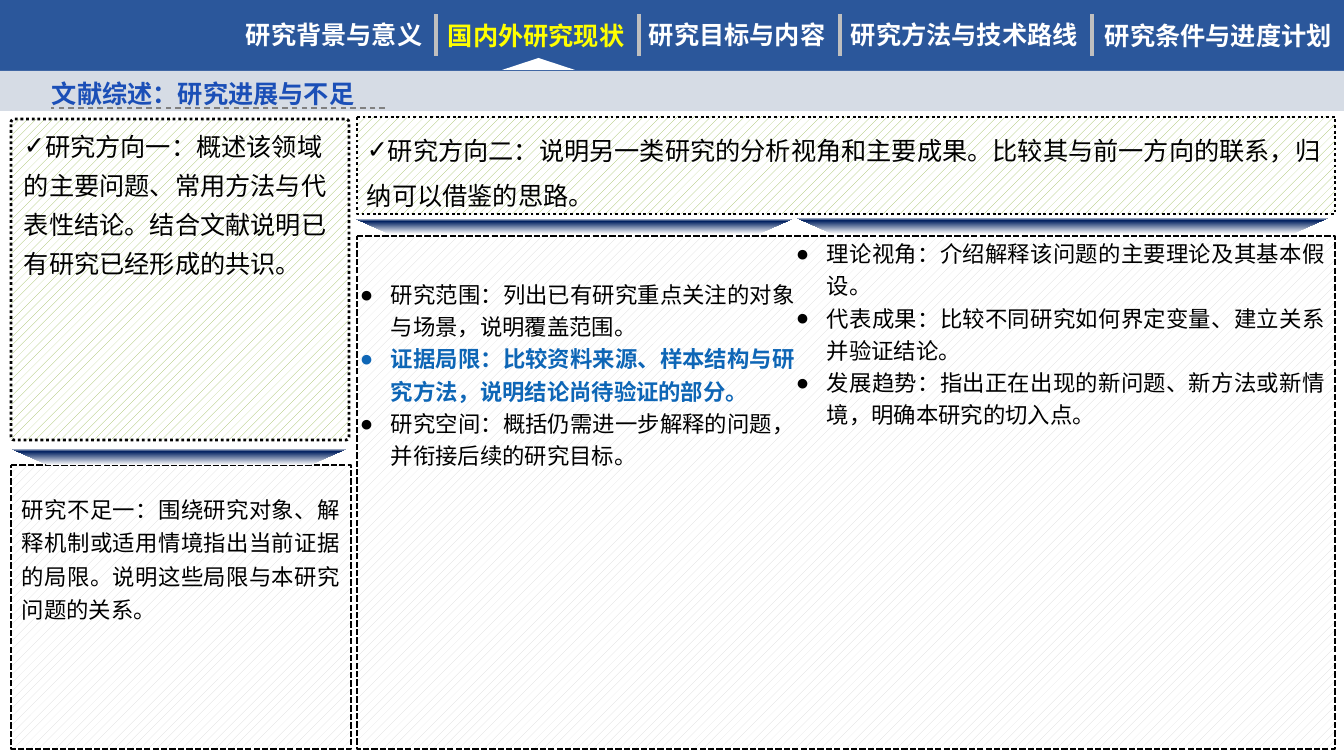
from lxml import etree
from pptx import Presentation
from pptx import util as u
from pptx.dml.color import RGBColor
from pptx.enum import dml, shapes, text
from pptx.oxml import ns

PX = 914400 / 100.8
FONT = "Noto Sans CJK SC"
HUES = {
    "bar": "2B579B", "band": "D6DCE5", "rule": "BFBFBF", "white": "FFFFFF",
    "black": "000000", "active": "FFFF00", "title": "1B4FB7", "dash": "808080",
    "grey": "D9D9D9", "green": "9BBB59", "navy": "002060", "key": "0E66B6",
}
KIND = shapes.MSO_SHAPE
TABS = [
    ("研究背景与意义", 236, 14, 201, "white"),
    ("国内外研究现状", 438, 15, 200, "active"),
    ("研究目标与内容", 639, 14, 201, "white"),
    ("研究方法与技术路线", 841, 14, 250, "white"),
    ("研究条件与进度计划", 1095, 15, 249, "white"),
]
SCOPE = [
    ("研究范围：列出已有研究重点关注的对象与场景，说明覆盖范围。", "black"),
    ("证据局限：比较资料来源、样本结构与研究方法，说明结论尚待验证的部分。", "key"),
    ("研究空间：概括仍需进一步解释的问题，并衔接后续的研究目标。", "black"),
]
TRENDS = [
    ("理论视角：介绍解释该问题的主要理论及其基本假设。", "black"),
    ("代表成果：比较不同研究如何界定变量、建立关系并验证结论。", "black"),
    ("发展趋势：指出正在出现的新问题、新方法或新情境，明确本研究的切入点。", "black"),
]
FIRST = "研究方向一：概述该领域的主要问题、常用方法与代表性结论。结合文献说明已有研究已经形成的共识。"
SECOND = "研究方向二：说明另一类研究的分析视角和主要成果。比较其与前一方向的联系，归纳可以借鉴的思路。"
GAP = "研究不足一：围绕研究对象、解释机制或适用情境指出当前证据的局限。说明这些局限与本研究问题的关系。"


def px(*nums):
    """Turn px lengths into EMU."""
    return [u.Emu(round(n * PX)) for n in nums]


def hue(name):
    """Look up a colour by name."""
    return RGBColor.from_string(HUES[name])


def sub(node, tag, **attrs):
    """Append a DrawingML child element."""
    return etree.SubElement(node, ns.qn("a:" + tag), attrs)


def block(slide, kind, area, fill=None, adj=None):
    """Add a preset shape with no outline."""
    shape = slide.shapes.add_shape(kind, *px(*area))
    shape.shadow.inherit = False
    shape.line.fill.background()
    if fill:
        shape.fill.solid()
        shape.fill.fore_color.rgb = hue(fill)
    if adj is not None:
        shape.adjustments[0] = adj
    return shape


def panel(slide, area, tint, width, dash, adj=0):
    """Add a hatched panel with a dashed outline."""
    shape = block(slide, KIND.ROUNDED_RECTANGLE, area, adj=adj)
    shape.fill.patterned()
    shape.fill.pattern = dml.MSO_PATTERN.PERCENT_20
    shape.fill.fore_color.rgb = hue(tint)
    shape.fill.back_color.rgb = hue("white")
    shape.line.color.rgb = hue("black")
    shape.line.width = u.Pt(width)
    shape.line.dash_style = dash


def wedge(slide, area):
    """Add a downward trapezoid that fades to white."""
    shape = block(slide, KIND.TRAPEZOID, area, adj=2.24)
    shape.rotation = 180
    shape.fill.gradient()
    shape.fill.gradient_angle = 270
    stops = shape.element.spPr.find(".//" + ns.qn("a:gsLst"))
    for stop in list(stops):
        stops.remove(stop)
    for pos, name in ((0, "white"), (79, "navy"), (100, "white")):
        sub(sub(stops, "gs", pos=str(pos * 1000)), "srgbClr", val=HUES[name])


def rule(slide, ends, name, width, dash=None):
    """Add a straight line."""
    line = slide.shapes.add_connector(shapes.MSO_CONNECTOR.STRAIGHT, *px(*ends))
    line.line.color.rgb = hue(name)
    line.line.width = u.Pt(width)
    if dash:
        line.line.dash_style = dash
    sub(line.element.spPr, "effectLst")


def write(slide, area, items, size, pitch, mark=None, hang=0, just=False, bold=False):
    """Add a text box with one paragraph per item."""
    box = slide.shapes.add_textbox(*px(*area))
    frame = box.text_frame
    frame.word_wrap = True
    for i, (words, name) in enumerate(items):
        para = frame.add_paragraph() if i else frame.paragraphs[0]
        para.line_spacing = u.Pt(pitch)
        if just:
            para.alignment = text.PP_ALIGN.JUSTIFY
        if mark:
            props = para._p.get_or_add_pPr()
            props.set("marL", str(px(hang)[0]))
            props.set("indent", str(px(-31)[0]))
            sub(props, "buFont", typeface="Arial")
            sub(props, "buChar", char=mark)
        run = para.add_run()
        run.text = words
        run.font.size = u.Pt(size)
        run.font.bold = bold or name == "key"
        run.font.color.rgb = hue(name)
        run.font.name = FONT
        sub(run._r.get_or_add_rPr(), "ea", typeface=FONT)


def header(slide):
    """Draw the tab bar and the title band."""
    block(slide, KIND.RECTANGLE, (0, -1, 1344, 72), "bar")
    block(slide, KIND.RECTANGLE, (0, 71, 1344, 40), "band")
    for x in (436, 639, 840, 1092):
        rule(slide, (x, 14, x, 56), "rule", 2.5)
    for words, x, y, wide, name in TABS:
        write(slide, (x, y, wide, 40), [(words, name)], 18, 22, bold=True)
    block(slide, KIND.ISOSCELES_TRIANGLE, (502, 58, 73, 12), "white")
    write(slide, (42, 73, 394, 39), [("文献综述：研究进展与不足", "title")], 18, 22, bold=True)
    rule(slide, (385, 108, 51, 108), "dash", 1, dml.MSO_LINE.DASH)


def main():
    """Build and save the slide."""
    deck = Presentation()
    deck.slide_width, deck.slide_height = px(1344, 756)
    slide = deck.slides.add_slide(deck.slide_layouts[6])
    short, dots = dml.MSO_LINE.SQUARE_DOT, dml.MSO_LINE.ROUND_DOT
    panel(slide, (11, 465, 340, 284), "grey", 1.5, short)
    panel(slide, (357, 236, 978, 513), "grey", 1.5, short)
    panel(slide, (11, 119, 338, 321), "green", 2, dots, 0.01)
    panel(slide, (357, 117, 978, 97), "green", 2, dots)
    header(slide)
    write(slide, (14, 117, 330, 324), [(FIRST, "black")], 18, 28, "✓")
    write(slide, (357, 115, 983, 97), [(SECOND, "black")], 18, 32.4, "✓")
    write(slide, (12, 484, 338, 245), [(GAP, "black")], 16, 24, just=True)
    write(slide, (350, 271, 455, 464), SCOPE, 16, 23, "●", 31, True)
    write(slide, (786, 230, 549, 526), TRENDS, 16, 23, "●", 31, True)
    for area in ((10, 448, 338, 17), (354, 218, 440, 16), (795, 217, 535, 17)):
        wedge(slide, area)
    deck.save("out.pptx")


if __name__ == "__main__":
    main()
